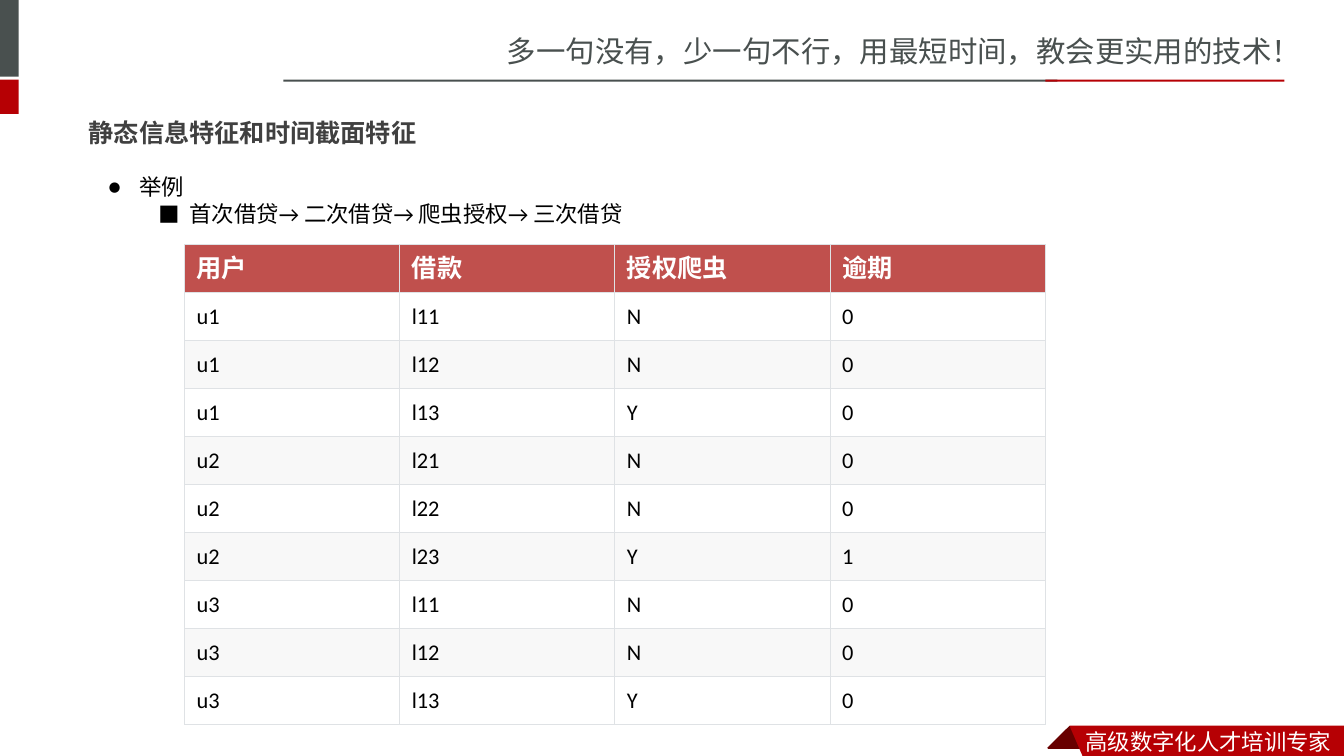
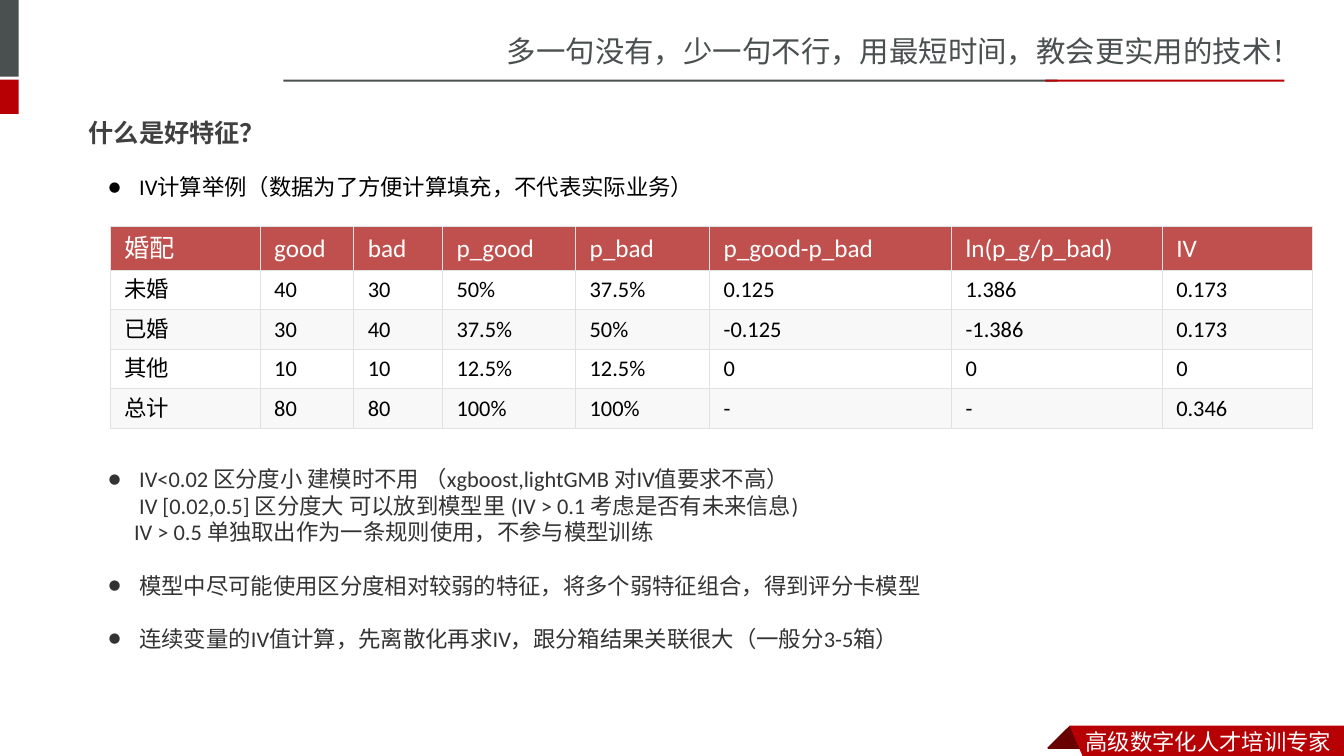
from dataclasses import dataclass
from typing import NamedTuple

from lxml.etree import SubElement
from pptx import Presentation
from pptx.dml.color import RGBColor
from pptx.enum.shapes import MSO_SHAPE as Preset
from pptx.enum.text import MSO_ANCHOR as Anchor, MSO_AUTO_SIZE as AutoSize, PP_ALIGN as Align
from pptx.oxml.ns import qn
from pptx.util import Inches, Pt

SLIDE_WIDTH, SLIDE_HEIGHT = Inches(13.33), Inches(7.5)

SLATE, RED, DARK_RED = "49504F", "B60004", "680000"
WHITE, BLACK, TITLE_GREY, NOTE_GREY = "FFFFFF", "000000", "404040", "333333"
HEADER_FILL, BAND_FILL, BORDER = "C0504D", "F8F8F8", "DFE2E5"

BODY_FONT, BAND_FONT, TITLE_FONT = "Calibri", "Noto Sans CJK SC", "Noto Sans CJK JP"
LINE_PITCH = Pt(19)


class Box(NamedTuple):
    """A frame in percent of the slide's width and height."""
    left: float
    top: float
    width: float
    height: float

    def emu(self) -> tuple:
        return (across(self.left), down(self.top), across(self.width), down(self.height))


class Style(NamedTuple):
    size: int
    color: str
    font: str = BODY_FONT
    bold: bool = False


class Bar(NamedTuple):
    box: Box
    color: str


class Outline(NamedTuple):
    points: list
    color: str


class Label(NamedTuple):
    box: Box
    text: str
    style: Style


@dataclass
class Item:
    lines: list
    bullet: str = "●"
    level: int = 0
    margin: float = 0.31
    gap: bool = False


@dataclass
class ItemList:
    box: Box
    color: str
    items: list


@dataclass
class Grid:
    box: Box
    columns: list
    rows: list
    side_inset: float
    header: Style
    cells: list


@dataclass
class Page:
    title: str
    layout: int
    lists: list
    grid: Grid


TITLE_BOX = Box(5.85, 13.73, 88.2, 7.6)
TITLE_STYLE = Style(18, TITLE_GREY, TITLE_FONT, True)
CELL_STYLE = Style(16, BLACK)

BARS = [
    Bar(Box(0, 0, 1.4, 10.13), SLATE),
    Bar(Box(0, 10.53, 1.4, 4.53), RED),
    Bar(Box(21.08, 10.53, 57.6, 0.27), SLATE),
    Bar(Box(77.78, 10.53, 17.78, 0.27), RED),
]
RIBBON = [
    Outline([(79.58, 96), (81.22, 98.93), (81.15, 99.07), (78, 99.07), (77.92, 98.93)], DARK_RED),
    Outline([(79.58, 96), (100, 96), (100, 100), (80.55, 100)], RED),
]
LABELS = [
    Label(Box(36.98, 3.73, 63.02, 6), "多一句没有，少一句不行，用最短时间，教会更实用的技术！",
          Style(21, SLATE, BAND_FONT)),
    Label(Box(80.03, 95.6, 19.97, 4.93), "高级数字化人才培训专家", Style(16, WHITE, BAND_FONT)),
]

PAGES = [
    Page(
        "静态信息特征和时间截面特征", 1,
        [ItemList(Box(7.28, 22.27, 41.7, 8.53), BLACK, [
            Item(["举例"]),
            Item(["首次借贷→ 二次借贷→ 爬虫授权→ 三次借贷"], "■", 1, 0.81),
        ])],
        Grid(Box(13.73, 32.4, 64.05, 63.47), [1] * 4, [1] * 10, 0.12,
             Style(18, WHITE, bold=True), [
            ["用户", "借款", "授权爬虫", "逾期"],
            ["u1", "l11", "N", "0"],
            ["u1", "l12", "N", "0"],
            ["u1", "l13", "Y", "0"],
            ["u2", "l21", "N", "0"],
            ["u2", "l22", "N", "0"],
            ["u2", "l23", "Y", "1"],
            ["u3", "l11", "N", "0"],
            ["u3", "l12", "N", "0"],
            ["u3", "l13", "Y", "0"],
        ]),
    ),
    Page(
        "什么是好特征？", 3,
        [
            ItemList(Box(7.28, 22.27, 45.15, 4.93), BLACK, [
                Item(["IV计算举例（数据为了方便计算填充，不代表实际业务）"]),
            ]),
            ItemList(Box(7.28, 60.93, 81.9, 26.53), NOTE_GREY, [
                Item(["IV<0.02 区分度小 建模时不用 （xgboost,lightGMB 对IV值要求不高）",
                      "IV [0.02,0.5] 区分度大 可以放到模型里 (IV > 0.1 考虑是否有未来信息)"]),
                Item(["IV > 0.5 单独取出作为一条规则使用，不参与模型训练"], "", margin=0.26),
                Item(["模型中尽可能使用区分度相对较弱的特征，将多个弱特征组合，得到评分卡模型"], gap=True),
                Item(["连续变量的IV值计算，先离散化再求IV，跟分箱结果关联很大（一般分3-5箱）"], gap=True),
            ]),
        ],
        Grid(Box(8.18, 30, 89.48, 26.53), [1.49, 0.93, 0.88, 1.32, 1.33, 2.4, 2.09, 1.49],
             [0.43] + [0.39] * 4, 0.14, Style(18, WHITE), [
            ["婚配", "good", "bad", "p_good", "p_bad", "p_good-p_bad", "ln(p_g/p_bad)", "IV"],
            ["未婚", "40", "30", "50%", "37.5%", "0.125", "1.386", "0.173"],
            ["已婚", "30", "40", "37.5%", "50%", "-0.125", "-1.386", "0.173"],
            ["其他", "10", "10", "12.5%", "12.5%", "0", "0", "0"],
            ["总计", "80", "80", "100%", "100%", "-", "-", "0.346"],
        ]),
    ),
]


def across(percent: float) -> int:
    return round(SLIDE_WIDTH * percent / 100)


def down(percent: float) -> int:
    return round(SLIDE_HEIGHT * percent / 100)


def paint(fill, color: str) -> None:
    fill.solid()
    fill.fore_color.rgb = RGBColor.from_string(color)


def place(shape, box: Box) -> None:
    shape.left, shape.top, shape.width, shape.height = box.emu()


def add_run(paragraph, text: str, style: Style) -> None:
    run = paragraph.add_run()
    run.text = text
    run.font.size = Pt(style.size)
    run.font.bold = style.bold
    run.font.name = style.font
    run.font.color.rgb = RGBColor.from_string(style.color)
    SubElement(run.font._element, qn("a:ea"), typeface=style.font)


def finish_shape(shape, color: str) -> None:
    paint(shape.fill, color)
    shape.line.fill.background()
    shape.shadow.inherit = False


def draw_frame(shapes) -> list:
    """Draw the bands, ribbon and labels that all slides share."""
    drawn = []
    for bar in BARS:
        shape = shapes.add_shape(Preset.RECTANGLE, *bar.box.emu())
        finish_shape(shape, bar.color)
        drawn.append(shape)
    for outline in RIBBON:
        first, *others = [(across(x), down(y)) for x, y in outline.points]
        builder = shapes.build_freeform(*first)
        builder.add_line_segments(others, close=True)
        shape = builder.convert_to_shape()
        finish_shape(shape, outline.color)
        drawn.append(shape)
    for label in LABELS:
        shape = shapes.add_textbox(*label.box.emu())
        shape.text_frame.word_wrap = False
        add_run(shape.text_frame.paragraphs[0], label.text, label.style)
        drawn.append(shape)
    return drawn


def move_to_master(drawn: list, master) -> None:
    for number, shape in enumerate(drawn, start=100):
        shape.element.xpath(".//p:cNvPr")[0].set("id", str(number))
        master.shapes.element.append(shape.element)


def set_title(shape, text: str) -> None:
    place(shape, TITLE_BOX)
    frame = shape.text_frame
    frame.auto_size = AutoSize.NONE
    frame.vertical_anchor = Anchor.MIDDLE
    frame.paragraphs[0].alignment = Align.LEFT
    add_run(frame.paragraphs[0], text, TITLE_STYLE)


def set_bullet(paragraph, item: Item) -> None:
    properties = paragraph._p.get_or_add_pPr()
    properties.set("marL", str(Inches(item.margin)))
    properties.set("indent", str(-Inches(0.31) if item.bullet else 0))
    if item.bullet:
        SubElement(properties, qn("a:buFont"), typeface=BODY_FONT)
        SubElement(properties, qn("a:buChar"), char=item.bullet)
    else:
        SubElement(properties, qn("a:buNone"))


def fill_list(shape, content: ItemList) -> None:
    place(shape, content.box)
    frame = shape.text_frame
    frame.auto_size = AutoSize.NONE
    frame.word_wrap = True
    for index, item in enumerate(content.items):
        paragraph = frame.add_paragraph() if index else frame.paragraphs[0]
        set_bullet(paragraph, item)
        paragraph.level = item.level
        paragraph.line_spacing = LINE_PITCH
        paragraph.space_before = LINE_PITCH if item.gap else Pt(0)
        for number, line in enumerate(item.lines):
            if number:
                paragraph.add_line_break()
            add_run(paragraph, line, Style(16, content.color))


def set_borders(cell) -> None:
    properties = cell._tc.get_or_add_tcPr()
    for side in ("lnL", "lnR", "lnT", "lnB"):
        line = SubElement(properties, qn(f"a:{side}"), w=str(Pt(0.75)))
        SubElement(SubElement(line, qn("a:solidFill")), qn("a:srgbClr"), val=BORDER)


def draw_grid(shapes, grid: Grid) -> None:
    table = shapes.add_table(len(grid.rows), len(grid.columns), *grid.box.emu()).table
    for column, weight in zip(table.columns, grid.columns):
        column.width = across(grid.box.width * weight / sum(grid.columns))
    for row, weight in zip(table.rows, grid.rows):
        row.height = down(grid.box.height * weight / sum(grid.rows))
    for row_index, texts in enumerate(grid.cells):
        fill = (WHITE, BAND_FILL)[row_index % 2 == 0] if row_index else HEADER_FILL
        for column_index, text in enumerate(texts):
            cell = table.cell(row_index, column_index)
            cell.vertical_anchor = Anchor.MIDDLE
            cell.margin_left = cell.margin_right = Inches(grid.side_inset)
            cell.margin_top = cell.margin_bottom = Inches(0.06)
            set_borders(cell)
            paint(cell.fill, fill)
            add_run(cell.text_frame.paragraphs[0], text, CELL_STYLE if row_index else grid.header)


def build_page(presentation, page: Page):
    slide = presentation.slides.add_slide(presentation.slide_layouts[page.layout])
    set_title(slide.shapes.title, page.title)
    for index, content in enumerate(page.lists, start=1):
        fill_list(slide.placeholders[index], content)
    draw_grid(slide.shapes, page.grid)
    return slide


def main() -> None:
    presentation = Presentation()
    presentation.slide_width, presentation.slide_height = SLIDE_WIDTH, SLIDE_HEIGHT
    slides = [build_page(presentation, page) for page in PAGES]
    move_to_master(draw_frame(slides[0].shapes), presentation.slide_master)
    presentation.save("out.pptx")


if __name__ == "__main__":
    main()
